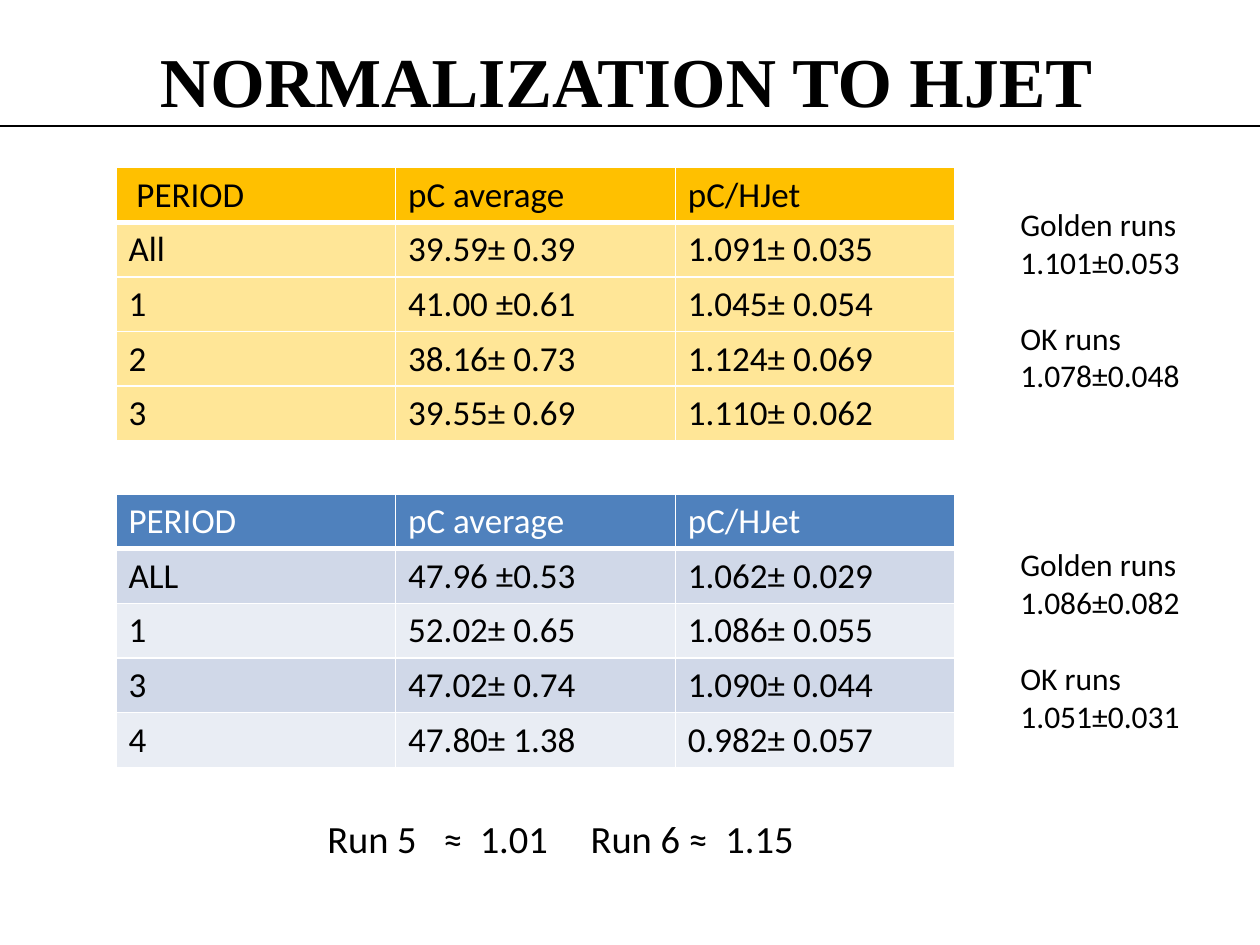
from pptx import Presentation
from pptx.dml.color import RGBColor
from pptx.oxml.ns import qn
from pptx.util import Inches, Pt
from lxml.etree import SubElement

COLORS = {
    "black": "000000", "white": "FFFFFF",
    "gold": "FFC000", "cream": "FFE697",
    "blue": "4F81BD", "mist": "D0D8E8", "pale": "E9EDF4",
}

TITLE = "NORMALIZATION TO HJET"
TABLES = [
    {"top": 1.33, "head": "gold", "ink": "black", "bands": ["cream", "cream"],
     "rows": [
         (" PERIOD", "pC average", "pC/HJet"),
         ("All", "39.59± 0.39", "1.091± 0.035"),
         ("1", "41.00 ±0.61", "1.045± 0.054"),
         ("2", "38.16± 0.73", "1.124± 0.069"),
         ("3", "39.55± 0.69", "1.110± 0.062")]},
    {"top": 3.92, "head": "blue", "ink": "white", "bands": ["mist", "pale"],
     "rows": [
         ("PERIOD", "pC average", "pC/HJet"),
         ("ALL", "47.96 ±0.53", "1.062± 0.029"),
         ("1", "52.02± 0.65", "1.086± 0.055"),
         ("3", "47.02± 0.74", "1.090± 0.044"),
         ("4", "47.80± 1.38", "0.982± 0.057")]},
]
# Each note: label, value, blank lines above
NOTES = [
    ("Golden runs", "1.101±0.053", 0),
    ("OK runs", "1.078±0.048", 1),
    ("Golden runs", "1.086±0.082", 4),
    ("OK runs", "1.051±0.031", 1),
]
RATIOS = ["Run 5", "≈", "1.01", "Run 6 ≈", "1.15"]
STOPS = [0.92, 1.21, 2.09, 3.16]

LEFT, COL, ROW = 0.92, 2.22, 0.43
LINE = 21.6


def color(name):
    return RGBColor.from_string(COLORS[name])


def write(para, text, size=18, font="Calibri", ink="black", bold=False, gap=0):
    run = para.add_run()
    run.text = text
    run.font.size = Pt(size)
    run.font.name = font
    run.font.bold = bold
    run.font.color.rgb = color(ink)
    para.space_before = Pt(gap)


def box(slide, *place):
    frame = slide.shapes.add_textbox(*map(Inches, place)).text_frame
    frame.word_wrap = True
    return frame


def border(cell, sides):
    props = cell._tc.get_or_add_tcPr()
    for i, (side, width) in enumerate(sides.items()):
        line = props.makeelement(qn(f"a:ln{side}"), {"w": str(Pt(width))})
        fill = SubElement(line, qn("a:solidFill"))
        SubElement(fill, qn("a:srgbClr"), val=COLORS["white"])
        props.insert(i, line)


def grid(slide, top, head, ink, bands, rows):
    count, wide = len(rows), len(rows[0])
    table = slide.shapes.add_table(
        count, wide, Inches(LEFT), Inches(top),
        Inches(COL * wide), Inches(ROW * count)).table
    table.horz_banding = False
    for r, row in enumerate(rows):
        for c, text in enumerate(row):
            cell = table.cell(r, c)
            cell.fill.solid()
            cell.fill.fore_color.rgb = color(bands[(r - 1) % 2] if r else head)
            border(cell, {"L": 1, "R": 1, "T": 3 if r == 1 else 1,
                          "B": 1 if r else 3})
            write(cell.text_frame.paragraphs[0], text, size=20,
                  ink="black" if r else ink)


def main():
    deck = Presentation()
    deck.slide_width, deck.slide_height = Inches(10), Inches(7.5)
    slide = deck.slides.add_slide(deck.slide_layouts[6])

    # Title and rule
    frame = box(slide, 1.17, 0.25, 7.68, 0.77)
    write(frame.paragraphs[0], TITLE, size=40, font="Times New Roman", bold=True)
    rule = slide.shapes.add_connector(1, 0, Inches(1), Inches(10), Inches(1))
    rule.line.color.rgb = color("black")
    rule.line.width = Pt(0.75)
    SubElement(rule._element.spPr, qn("a:effectLst"))

    # Tables
    for table in TABLES:
        grid(slide, **table)

    # Run ratios, set on tab stops
    para = box(slide, 2.5, 6.42, 4, 0.47).paragraphs[0]
    tabs = SubElement(para._p.get_or_add_pPr(), qn("a:tabLst"))
    for stop in STOPS:
        SubElement(tabs, qn("a:tab"), pos=str(Inches(stop)), algn="l")
    write(para, "\t".join(RATIOS), size=22)

    # Side notes
    frame = box(slide, 8, 1.58, 1.48, 4.64)
    for i, (label, value, blanks) in enumerate(NOTES):
        para = frame.add_paragraph() if i else frame.paragraphs[0]
        write(para, label, gap=blanks * LINE)
        write(frame.add_paragraph(), value)

    deck.save("out.pptx")


if __name__ == "__main__":
    main()
